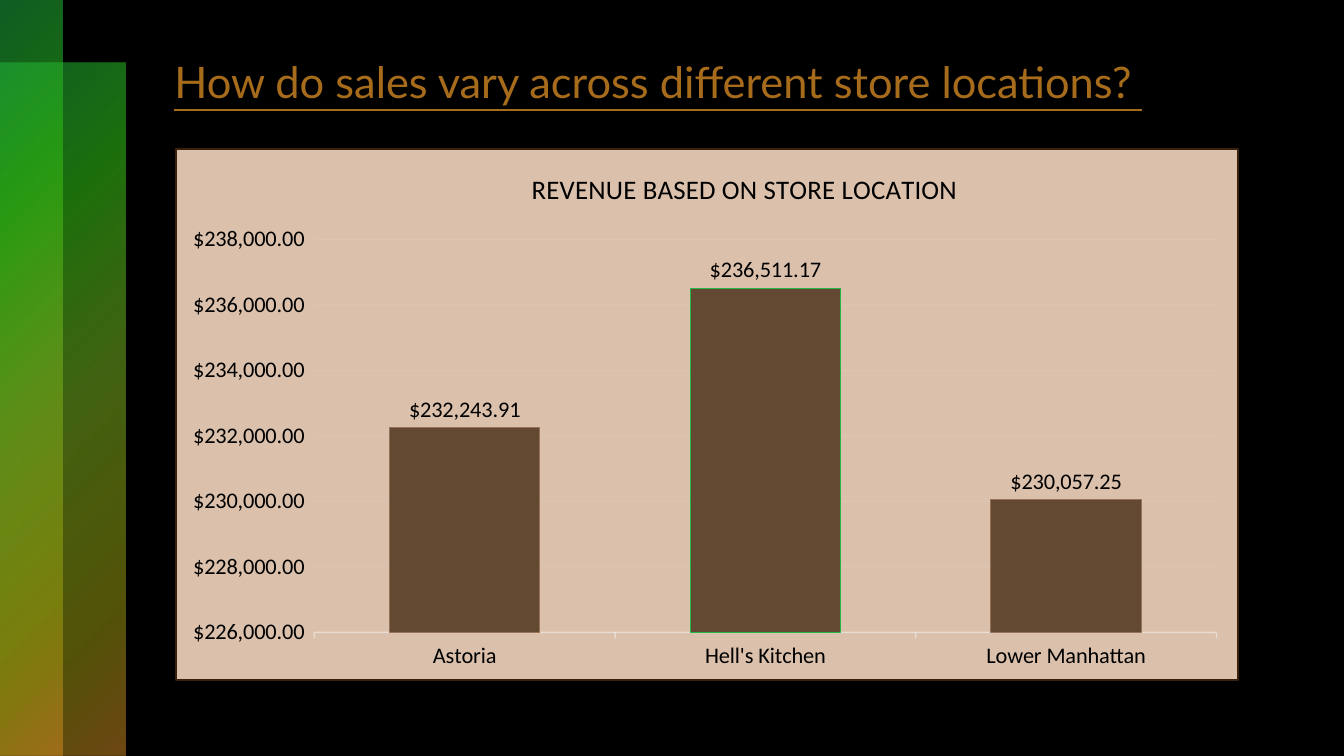
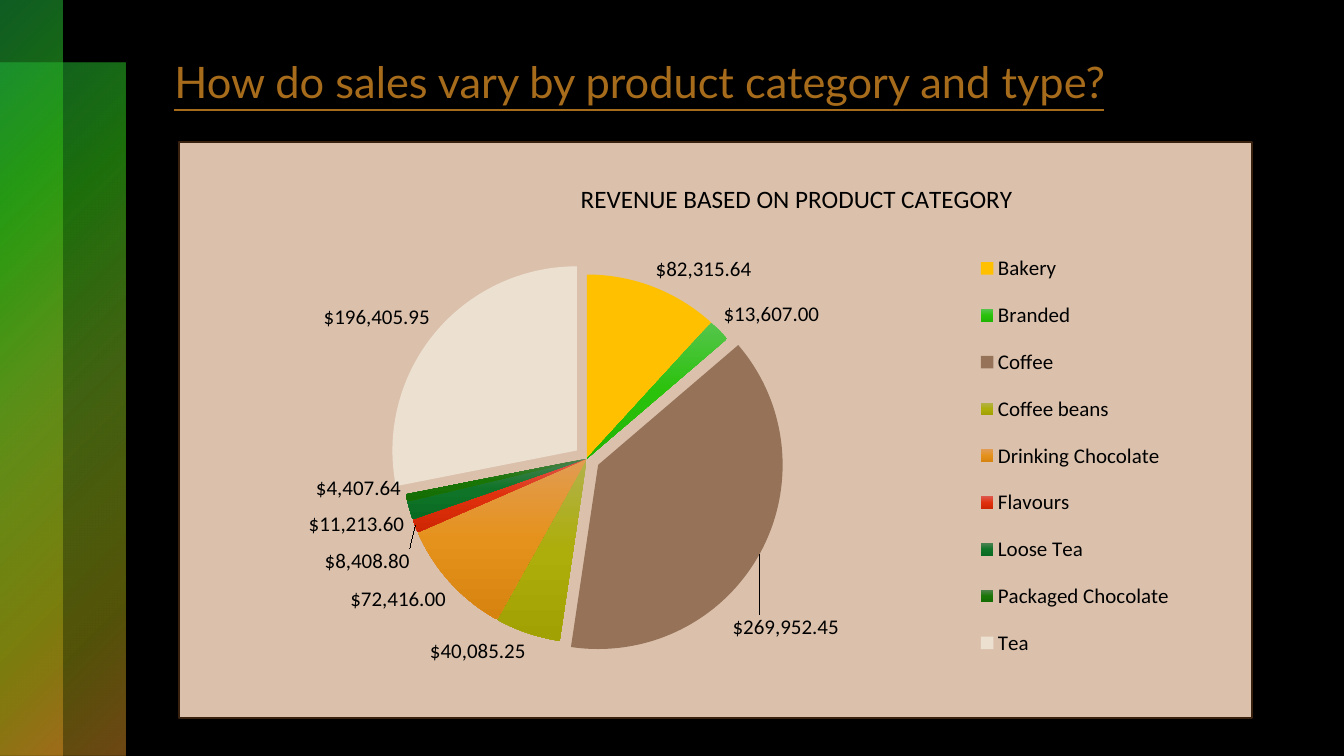
"""Build two slides on coffee shop revenue by store location and by product category."""
from copy import deepcopy
from dataclasses import dataclass

from pptx import Presentation
from pptx.chart.data import CategoryChartData
from pptx.dml.color import RGBColor
from pptx.enum.chart import XL_CHART_TYPE as ChartType
from pptx.enum.chart import XL_LABEL_POSITION as LabelPosition
from pptx.enum.chart import XL_LEGEND_POSITION as LegendPosition
from pptx.enum.chart import XL_TICK_MARK as TickMark
from pptx.enum.shapes import MSO_SHAPE as ShapeKind
from pptx.enum.text import MSO_ANCHOR as Anchor
from pptx.enum.text import MSO_AUTO_SIZE as AutoSize
from pptx.enum.text import PP_ALIGN as Align
from pptx.oxml import parse_xml
from pptx.oxml.ns import nsdecls, qn
from pptx.util import Pt


@dataclass(frozen=True)
class Theme:
    background: str = "000000"
    title: str = "A76C1B"
    panel: str = "DBC1AC"
    panel_border: str = "38220F"
    ink: str = "000000"
    pale_line: str = "F2F2F2"
    bar: str = "634832"
    bar_edge: str = "967259"
    bar_accent: str = "21BA47"
    title_font: str = "Lato"
    chart_font: str = "Calibri"
    title_size: float = 31
    bar_size: float = 16
    pie_size: float = 15
    heading_scale: float = 1.2


THEME = Theme()
MONEY = r"\$#,##0.00;\(\$#,##0.00\);\$#,##0.00"
BAND_STOPS = [(0, "21BA47", 50), (25, "30BA14", 60), (50, "75B320", 55),
              (81, "A6A612", 50), (99, "DC9026", 50)]
TOP_LEFT_CIRCLE = '<a:path path="circle"><a:fillToRect r="100000" b="100000"/></a:path>'
DOWNWARD = '<a:lin ang="5400000" scaled="0"/>'
STORES = {"Astoria": 232243.91, "Hell's Kitchen": 236511.17, "Lower Manhattan": 230057.25}
CATEGORIES = [
    ("Bakery", 82315.64, ["FFC000"]),
    ("Branded", 13607, ["55C54C", "2BC20C", "21B403"]),
    ("Coffee", 269952.45, ["967259"]),
    ("Coffee beans", 40085.25, ["B2B24C", "ADAD0B", "A1A103"]),
    ("Drinking Chocolate", 72416, ["E19C52", "E5921D", "D68310"]),
    ("Flavours", 8408.8, ["DE584D", "DF310D", "CE2604"]),
    ("Loose Tea", 11213.6, ["4C8253", "0F7428", "096B22"]),
    ("Packaged Chocolate", 4407.64, ["4E824B", "1A7507", "146C02"]),
    ("Tea", 196405.95, ["ECE0D1"]),
]
COFFEE, TEA = 2, 8


def color(value):
    return RGBColor.from_string(value)


def paint(fill, value):
    fill.solid()
    fill.fore_color.rgb = color(value)


def paint_gradient(properties, stops, direction):
    """Replace an empty fill with a gradient of (position, colour, opacity) stops."""
    marks = "".join(
        f'<a:gs pos="{position * 1000}"><a:srgbClr val="{value}">'
        f'<a:alpha val="{opacity * 1000}"/></a:srgbClr></a:gs>'
        for position, value, opacity in stops)
    gradient = parse_xml(f'<a:gradFill {nsdecls("a")} rotWithShape="1">'
                         f'<a:gsLst>{marks}</a:gsLst>{direction}</a:gradFill>')
    properties.replace(properties.find(qn("a:noFill")), gradient)


def draw_line(line, value, width):
    paint(line.fill, value)
    line.width = Pt(width)


def fade(chart, query, percent):
    """Set the opacity of the line colours found under the query."""
    for node in chart.element.xpath(f"{query}/c:spPr/a:ln//a:srgbClr"):
        node.append(parse_xml(f'<a:alpha {nsdecls("a")} val="{percent * 1000}"/>'))


def format_font(font, name, size, value, underline=None):
    font.name = name
    font.size = Pt(size)
    font.bold = False
    font.underline = underline
    font.color.rgb = color(value)


def write_text(text_frame, text, **text_format):
    """Write one paragraph with the given font format."""
    paragraph = text_frame.paragraphs[0]
    run = paragraph.add_run()
    run.text = text
    format_font(run.font, **text_format)
    return paragraph


def place_part(part, after=None, target=None, mode="edge", **fractions):
    """Give a chart part a manual layout in fractions of the chart."""
    settings = [("layoutTarget", target)] if target else []
    settings += [(f"{axis}Mode", mode) for axis in "xy"]
    settings += fractions.items()
    body = "".join(f'<c:{name} val="{value}"/>' for name, value in settings)
    layout = parse_xml(f'<c:layout {nsdecls("c")}><c:manualLayout>{body}'
                       f'</c:manualLayout></c:layout>')
    previous = part.find(qn("c:layout"))
    if previous is not None:
        part.remove(previous)
    part.insert(part.index(part.find(qn(after))) + 1 if after else 0, layout)


def add_bands(slide, layout):
    """Draw the two side bands and move them to the shared layout."""
    for index, (top, width) in enumerate([(44.6, 89.3), (0, 44.6)]):
        band = slide.shapes.add_shape(ShapeKind.RECTANGLE, 0, Pt(top), Pt(width), Pt(540 - top))
        band.shadow.inherit = False
        band.fill.background()
        band.line.fill.background()
        paint_gradient(band.element.spPr, BAND_STOPS, TOP_LEFT_CIRCLE)
        layout.shapes.element.insert(2 + index, band.element)


def add_titled_slide(presentation, layout, text):
    slide = presentation.slides.add_slide(layout)
    title = slide.shapes.title
    title.left, title.top, title.width, title.height = Pt(117.4), Pt(36), Pt(767.5), Pt(65.5)
    frame = title.text_frame
    frame.word_wrap = True
    frame.auto_size = AutoSize.NONE
    frame.vertical_anchor = Anchor.TOP
    paragraph = write_text(frame, text, name=THEME.title_font, size=THEME.title_size,
                           value=THEME.title, underline=True)
    paragraph.alignment = Align.LEFT
    return slide


def add_panel_chart(slide, kind, box, values, heading, heading_at, size):
    """Add a one-series chart on a bordered panel, with heading and value labels."""
    data = CategoryChartData()
    data.categories = list(values)
    data.add_series("Series 1", list(values.values()))
    chart = slide.shapes.add_chart(kind, *(Pt(length) for length in box), data).chart
    format_font(chart.font, THEME.chart_font, size, THEME.ink)
    chart.element.find(qn("c:chart")).addnext(parse_xml(
        f'<c:spPr {nsdecls("c", "a")}><a:solidFill><a:srgbClr val="{THEME.panel}"/></a:solidFill>'
        f'<a:ln w="{Pt(1.5)}"><a:solidFill><a:srgbClr val="{THEME.panel_border}"/></a:solidFill>'
        f'</a:ln></c:spPr>'))
    chart.has_title = True
    write_text(chart.chart_title.text_frame, heading, name=THEME.chart_font,
               size=size * THEME.heading_scale, value=THEME.ink)
    place_part(chart.element.xpath("c:chart/c:title")[0], "c:tx",
               x=heading_at[0], y=heading_at[1])
    labels = chart.plots[0].series[0].data_labels
    labels.show_value = True
    labels.number_format = MONEY
    labels.number_format_is_linked = False
    format_font(labels.font, THEME.chart_font, size, THEME.ink)
    return chart


def add_store_chart(slide):
    chart = add_panel_chart(slide, ChartType.COLUMN_CLUSTERED, (125.3, 105.8, 759.6, 380.9),
                            STORES, "REVENUE BASED ON STORE LOCATION", (0.33, 0.03),
                            THEME.bar_size)
    chart.has_legend = False
    plot = chart.plots[0]
    plot.vary_by_categories = False
    plot.gap_width = 100
    series = plot.series[0]
    series.data_labels.position = LabelPosition.OUTSIDE_END
    paint(series.format.fill, THEME.bar)
    draw_line(series.format.line, THEME.bar_accent, 0.75)
    for index in (0, 2):
        point = series.points[index].format
        paint(point.fill, THEME.bar)
        draw_line(point.line, THEME.bar_edge, 0.75)
    value_axis, category_axis = chart.value_axis, chart.category_axis
    value_axis.minimum_scale, value_axis.maximum_scale = 226000, 238000
    value_axis.major_unit = 2000
    value_axis.tick_labels.number_format = MONEY
    value_axis.tick_labels.number_format_is_linked = False
    value_axis.format.line.fill.background()
    draw_line(value_axis.major_gridlines.format.line, THEME.pale_line, 0.75)
    draw_line(category_axis.format.line, THEME.pale_line, 1)
    fade(chart, "//c:majorGridlines", 10)
    fade(chart, "//c:catAx", 54)
    for axis in (value_axis, category_axis):
        axis.major_tick_mark = TickMark.OUTSIDE
        format_font(axis.tick_labels.font, THEME.chart_font, THEME.bar_size, THEME.ink)
    place_part(chart.element.xpath("//c:plotArea")[0], target="inner",
               x=0.13, y=0.17, w=0.85, h=0.74)


def pull_out(chart, index):
    """Explode a slice and give its label its own outside position."""
    point_node = chart.element.xpath(f"//c:dPt[c:idx/@val={index}]")[0]
    point_node.find(qn("c:spPr")).addprevious(
        parse_xml(f'<c:explosion {nsdecls("c")} val="7"/>'))
    label = chart.plots[0].series[0].points[index].data_label
    format_font(label.font, THEME.chart_font, THEME.pie_size, THEME.ink)
    label.position = LabelPosition.OUTSIDE_END
    label_node = chart.element.xpath(f"//c:dLbl[c:idx/@val={index}]")[0]
    number_format = chart.element.xpath("//c:ser/c:dLbls/c:numFmt")[0]
    label_node.find(qn("c:idx")).addnext(deepcopy(number_format))
    return label_node


def add_category_chart(slide):
    values = {name: value for name, value, _ in CATEGORIES}
    chart = add_panel_chart(slide, ChartType.PIE, (127.4, 100.8, 767.5, 412.6), values,
                            "REVENUE BASED ON PRODUCT CATEGORY", (0.37, 0.06), THEME.pie_size)
    plot = chart.plots[0]
    plot.vary_by_categories = True
    series = plot.series[0]
    series.data_labels.position = LabelPosition.BEST_FIT
    for index, (_, _, shades) in enumerate(CATEGORIES):
        point = series.points[index].format
        point.line.fill.background()
        if len(shades) == 1:
            paint(point.fill, shades[0])
        else:
            point.fill.background()
            properties = chart.element.xpath(f"//c:dPt[c:idx/@val={index}]/c:spPr")[0]
            stops = [(50 * step, shade, 100) for step, shade in enumerate(shades)]
            paint_gradient(properties, stops, DOWNWARD)
    pull_out(chart, TEA)
    place_part(pull_out(chart, COFFEE), "c:idx", mode="factor", x=-0.03, y=0.1)
    chart.has_legend = True
    chart.legend.position = LegendPosition.RIGHT
    chart.legend.include_in_layout = False
    format_font(chart.legend.font, THEME.chart_font, THEME.pie_size, THEME.ink)
    place_part(chart.element.xpath("//c:legend")[0], "c:legendPos",
               x=0.73, y=0.16, w=0.21, h=0.77)
    place_part(chart.element.xpath("//c:plotArea")[0], target="inner",
               x=0.19, y=0.23, w=0.38, h=0.64)


def main():
    presentation = Presentation()
    presentation.slide_width, presentation.slide_height = Pt(960), Pt(540)
    paint(presentation.slide_master.background.fill, THEME.background)
    layout = presentation.slide_layouts.get_by_name("Title Only")
    store_slide = add_titled_slide(presentation, layout,
                                   "How do sales vary across different store locations? ")
    add_bands(store_slide, layout)
    add_store_chart(store_slide)
    category_slide = add_titled_slide(presentation, layout,
                                      "How do sales vary by product category and type?")
    add_category_chart(category_slide)
    presentation.save("out.pptx")


if __name__ == "__main__":
    main()
